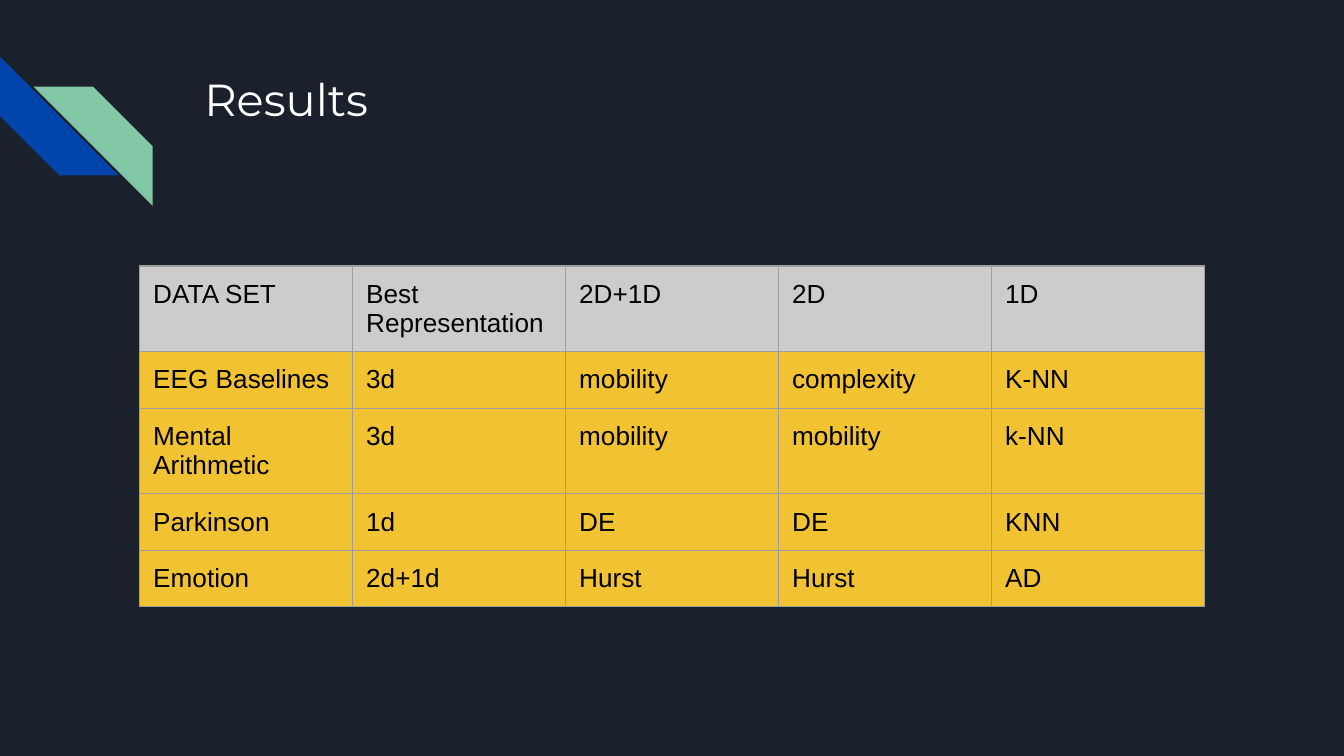
from dataclasses import dataclass

from lxml import etree
from pptx import Presentation
from pptx.dml.color import RGBColor
from pptx.enum.shapes import MSO_SHAPE
from pptx.enum.text import MSO_ANCHOR, MSO_AUTO_SIZE, PP_ALIGN
from pptx.oxml.ns import qn
from pptx.util import Emu, Pt

STRIPE = MSO_SHAPE.DIAGONAL_STRIPE
TOP = MSO_ANCHOR.TOP
LEFT = PP_ALIGN.LEFT
NO_AUTOFIT = MSO_AUTO_SIZE.NONE
TITLE_ONLY = 5
EMU_PER_PX = 4572
INSET = 20
STRIPE_SIZE = 177
COLUMN_WIDTH = 317
ROW_HEIGHT = 84

RESULTS = [
    ["DATA SET", "Best Representation", "2D+1D", "2D", "1D"],
    ["EEG Baselines", "3d", "mobility", "complexity", "K-NN"],
    ["Mental Arithmetic", "3d", "mobility", "mobility", "k-NN"],
    ["Parkinson", "1d", "DE", "DE", "KNN"],
    ["Emotion", "2d+1d", "Hurst", "Hurst", "AD"],
]


@dataclass(frozen=True)
class Theme:
    """Colours, fonts and type sizes of the slide."""
    background: str = "1B212C"
    blue: str = "0145AC"
    green: str = "82C7A5"
    title: str = "FFFFFF"
    body: str = "000000"
    header_fill: str = "CCCCCC"
    row_fill: str = "F1C232"
    border: str = "9E9E9E"
    title_font: str = "Montserrat"
    body_font: str = "Arial"
    title_size: int = 24
    body_size: int = 14
    border_width: float = 0.75


THEME = Theme()


def px(length):
    """Turn whole px into EMU."""
    return Emu(length * EMU_PER_PX)


def apply(target, values):
    """Set each attribute in a dict of format values."""
    for name, value in values.items():
        setattr(target, name, value)


def paint(fill, colour):
    """Make a fill solid in one colour."""
    fill.solid()
    fill.fore_color.rgb = RGBColor.from_string(colour)


def inset_margins():
    """Give the same inset on all four sides."""
    return {f"margin_{side}": px(INSET) for side in ("left", "top", "right", "bottom")}


def write(frame, text, font, size, colour):
    """Write one left-aligned paragraph in the given type."""
    frame.text = text
    paragraph = frame.paragraphs[0]
    paragraph.alignment = LEFT
    run_font = paragraph.runs[0].font
    apply(run_font, {"name": font, "size": Pt(size), "bold": False})
    run_font.color.rgb = RGBColor.from_string(colour)


def add_stripe(slide, left, top, rotation, colour):
    """Add one diagonal stripe of the corner ornament."""
    stripe = slide.shapes.add_shape(
        STRIPE, px(left), px(top), px(STRIPE_SIZE), px(STRIPE_SIZE))
    stripe.rotation = rotation
    stripe.adjustments[0] = 0.5
    stripe.shadow.inherit = False
    paint(stripe.fill, colour)
    stripe.line.fill.background()


def set_title(slide, text):
    """Place and format the title placeholder."""
    title = slide.shapes.title
    apply(title, {"left": px(284), "top": px(87), "width": px(1540), "height": px(200)})
    frame = title.text_frame
    apply(frame, {**inset_margins(), "vertical_anchor": TOP,
                  "word_wrap": True, "auto_size": NO_AUTOFIT})
    write(frame, text, THEME.title_font, THEME.title_size, THEME.title)


def add_borders(cell):
    """Draw the four borders of a cell."""
    properties = cell._tc.get_or_add_tcPr()
    for index, side in enumerate(("lnL", "lnR", "lnT", "lnB")):
        border = etree.Element(qn(f"a:{side}"), w=str(Pt(THEME.border_width)))
        solid = etree.SubElement(border, qn("a:solidFill"))
        etree.SubElement(solid, qn("a:srgbClr"), val=THEME.border)
        properties.insert(index, border)


def fill_cell(cell, text, colour):
    """Write and format one table cell."""
    apply(cell, {**inset_margins(), "vertical_anchor": TOP})
    write(cell.text_frame, text, THEME.body_font, THEME.body_size, THEME.body)
    paint(cell.fill, colour)
    add_borders(cell)


def add_results(slide, left, top, rows):
    """Add the results table with a grey header row."""
    columns = len(rows[0])
    table = slide.shapes.add_table(
        len(rows), columns, px(left), px(top),
        px(columns * COLUMN_WIDTH), px(len(rows) * ROW_HEIGHT)).table
    apply(table, {"first_row": False, "horz_banding": False})
    for row_index, row in enumerate(rows):
        colour = THEME.row_fill if row_index else THEME.header_fill
        for column_index, text in enumerate(row):
            fill_cell(table.cell(row_index, column_index), text, colour)


def main():
    """Build the results slide and save it."""
    deck = Presentation()
    apply(deck, {"slide_width": px(2000), "slide_height": px(1125)})
    slide = deck.slides.add_slide(deck.slide_layouts[TITLE_ONLY])
    paint(slide.background.fill, THEME.background)
    add_stripe(slide, 0, 84, 270, THEME.blue)
    add_stripe(slide, 50, 129, 90, THEME.green)
    set_title(slide, "Results")
    add_results(slide, 208, 396, RESULTS)
    deck.save("out.pptx")


if __name__ == "__main__":
    main()
